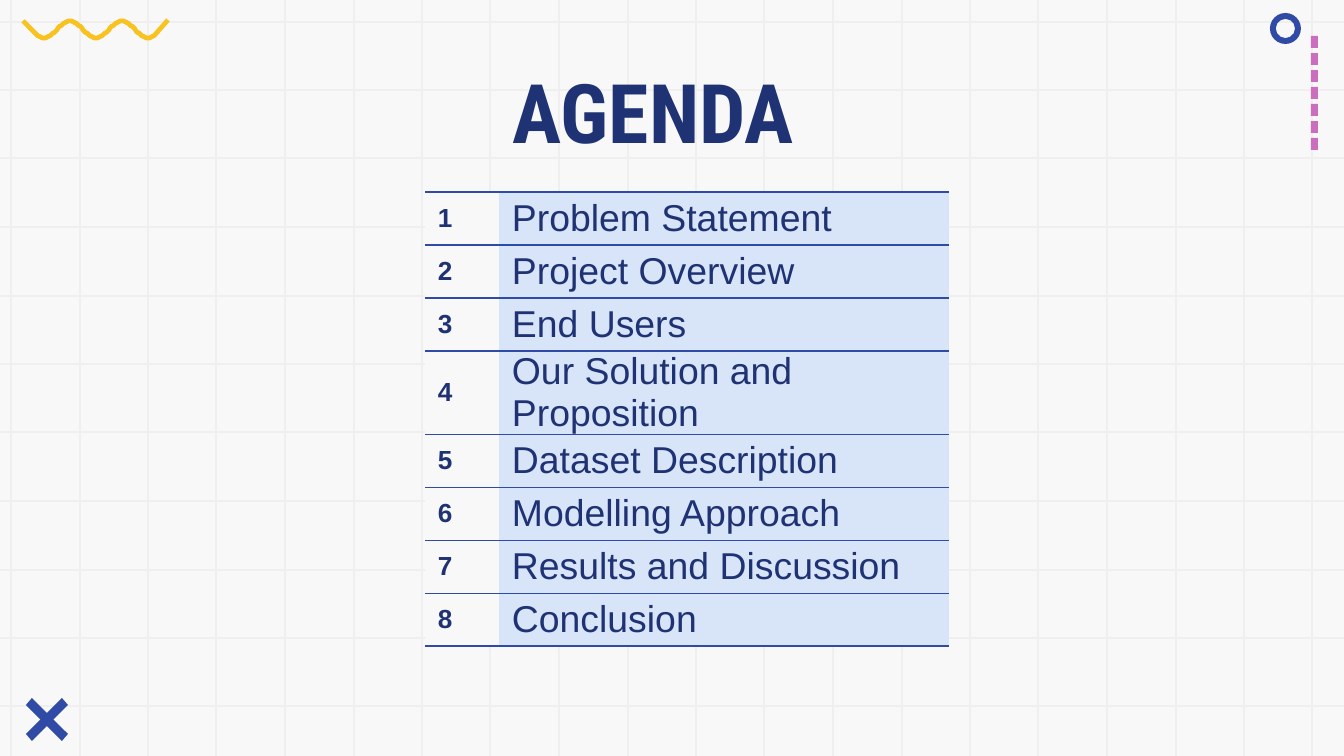
from math import cos, pi

from lxml import etree
from pptx import Presentation
from pptx.dml.color import RGBColor
from pptx.enum.shapes import MSO_CONNECTOR, MSO_SHAPE
from pptx.enum.text import MSO_ANCHOR, MSO_AUTO_SIZE, PP_ALIGN
from pptx.oxml.ns import qn
from pptx.util import Pt

STRAIGHT = MSO_CONNECTOR.STRAIGHT
RECTANGLE = MSO_SHAPE.RECTANGLE
DONUT = MSO_SHAPE.DONUT
TOP = MSO_ANCHOR.TOP
MIDDLE = MSO_ANCHOR.MIDDLE
CENTER = PP_ALIGN.CENTER
NO_AUTOFIT = MSO_AUTO_SIZE.NONE

EMU_PER_PX = 914400 / 134.4
WIDTH, HEIGHT = 1344, 756
GRID_STEP = 68.5
COLORS = {
    "paper": "F8F8F8",
    "grid": "EFEFEF",
    "navy": "1F3374",
    "blue": "304BA6",
    "pale": "D8E4F7",
    "pink": "CB6EBE",
    "yellow": "F8C220",
}
TOPICS = [
    "Problem Statement",
    "Project Overview",
    "End Users",
    "Our Solution and Proposition",
    "Dataset Description",
    "Modelling Approach",
    "Results and Discussion",
    "Conclusion",
]


def px(length):
    return round(length * EMU_PER_PX)


def color(name):
    return RGBColor.from_string(COLORS[name])


def paint(shape, name):
    shape.shadow.inherit = False
    shape.fill.solid()
    shape.fill.fore_color.rgb = color(name)
    shape.line.fill.background()


def add_line(page, start, end):
    line = page.shapes.add_connector(STRAIGHT, *map(px, start + end))
    line.line.color.rgb = color("grid")
    line.line.width = Pt(0.75)
    etree.SubElement(line.element.spPr, qn("a:effectLst"))


def add_grid(page):
    for row in range(11):
        y = round(21.5 + row * GRID_STEP)
        add_line(page, (WIDTH, y), (0, y))
    for column in range(20):
        x = round(11 + column * GRID_STEP)
        add_line(page, (x, 0), (x, HEIGHT))


def add_preset(page, kind, box, name):
    shape = page.shapes.add_shape(kind, *map(px, box))
    paint(shape, name)
    return shape


def add_outline(page, points, name, closed=True):
    builder = page.shapes.build_freeform(*points[0], scale=EMU_PER_PX)
    builder.add_line_segments(points[1:], close=closed)
    shape = builder.convert_to_shape()
    paint(shape, name)
    return shape


def add_wave(page):
    crests = [(x, 29.5 + 8.5 * cos(2 * pi * (x - 44) / 52)) for x in range(38, 155)]
    wave = add_outline(page, [(23, 21), *crests, (168, 20)], "yellow", closed=False)
    wave.fill.background()
    wave.line.color.rgb = color("yellow")
    wave.line.width = Pt(2.5)


def add_ornaments(page):
    for dash in range(7):
        add_preset(page, RECTANGLE, (1311, 36 + 17 * dash, 7, 12), "pink")
    add_outline(page, [(32, 698), (26, 705), (62, 741), (68, 734)], "blue")
    add_outline(page, [(62, 698), (26, 734), (32, 741), (68, 705)], "blue")
    add_wave(page)
    ring = add_preset(page, DONUT, (1270, 13, 31, 31), "blue")
    ring.adjustments[0] = 0.19


def add_run(para, text, size, font, bold):
    span = para.add_run()
    span.text = text
    span.font.size = Pt(size)
    span.font.name = font
    span.font.bold = bold
    span.font.color.rgb = color("navy")


def set_title(page, text):
    title = page.shapes.title
    title.left, title.top, title.width, title.height = map(px, (87, 48, 1133, 85))
    page.shapes.element.append(title.element)
    frame = title.text_frame
    frame.auto_size = NO_AUTOFIT
    frame.vertical_anchor = TOP
    frame.margin_left = frame.margin_right = px(13)
    frame.margin_top = frame.margin_bottom = px(13)
    para = frame.paragraphs[0]
    para.alignment = CENTER
    add_run(para, text, 44, "Roboto Condensed", True)


def set_borders(cell):
    properties = cell._tc.get_or_add_tcPr()
    for index, side in enumerate(("lnL", "lnR", "lnT", "lnB")):
        border = etree.Element(qn(f"a:{side}"), w=str(Pt(0.75)))
        if side in ("lnL", "lnR"):
            etree.SubElement(border, qn("a:noFill"))
        else:
            fill = etree.SubElement(border, qn("a:solidFill"))
            etree.SubElement(fill, qn("a:srgbClr"), val=COLORS["blue"])
        properties.insert(index, border)


def fill_cell(cell, text, size, bold, background, space_after):
    cell.fill.solid()
    cell.fill.fore_color.rgb = color(background)
    cell.vertical_anchor = MIDDLE
    cell.margin_left = cell.margin_right = px(13)
    cell.margin_top = cell.margin_bottom = 0
    para = cell.text_frame.paragraphs[0]
    para.space_after = Pt(space_after)
    add_run(para, text, size, "Arial", bold)
    set_borders(cell)


def add_agenda(page):
    box = map(px, (425, 192, 524, 53 * len(TOPICS)))
    table = page.shapes.add_table(len(TOPICS), 2, *box).table
    table.first_row = False
    table.horz_banding = False
    for column, width in zip(table.columns, (74, 450)):
        column.width = px(width)
    for index, topic in enumerate(TOPICS):
        table.rows[index].height = px(53)
        fill_cell(table.cell(index, 0), str(index + 1), 14, True, "paper", 0)
        fill_cell(table.cell(index, 1), topic, 20, False, "pale", 16)


def main():
    deck = Presentation()
    deck.slide_width, deck.slide_height = px(WIDTH), px(HEIGHT)
    page = deck.slides.add_slide(deck.slide_layouts[5])
    page.background.fill.solid()
    page.background.fill.fore_color.rgb = color("paper")
    add_grid(page)
    add_ornaments(page)
    set_title(page, "AGENDA")
    add_agenda(page)
    deck.save("out.pptx")


if __name__ == "__main__":
    main()
